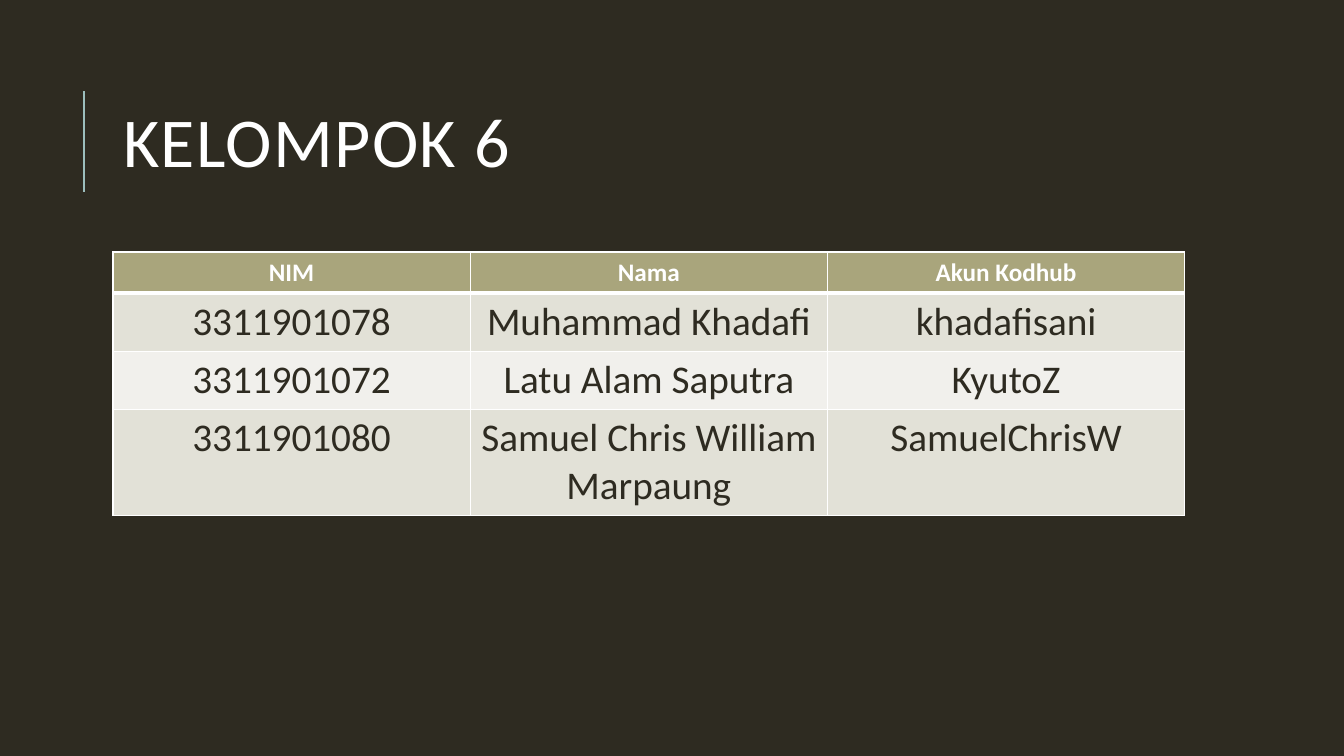
import pptx
import pptx.dml.color
import pptx.enum.shapes
import pptx.enum.text
import pptx.oxml
import pptx.oxml.ns
import pptx.util

Inches = pptx.util.Inches
Pt = pptx.util.Pt

COLORS = {
    "background": "2E2B21",
    "accent": "9CBEBD",
    "white": "FFFFFF",
    "header": "A9A57C",
    "odd_row": "E2E1D7",
    "even_row": "F1F0EC",
}
FONT = "Calibri"
MEMBERS = [
    ("NIM", "Nama", "Akun Kodhub"),
    ("3311901078", "Muhammad Khadafi", "khadafisani"),
    ("3311901072", "Latu Alam Saputra", "KyutoZ"),
    ("3311901080", "Samuel Chris William Marpaung", "SamuelChrisW"),
]


def rgb(name):
    """Return the named colour."""
    return pptx.dml.color.RGBColor.from_string(COLORS[name])


def write_text(frame, text, size, color, align="CENTER", bold=False,
               line_spacing=None, tracking=None):
    """Write one formatted paragraph into a text frame."""
    paragraph = frame.paragraphs[0]
    paragraph.alignment = getattr(pptx.enum.text.PP_ALIGN, align)
    if line_spacing:
        paragraph.line_spacing = line_spacing
    run = paragraph.add_run()
    run.text = text
    run.font.name = FONT
    run.font.size = Pt(size)
    run.font.bold = bold
    run.font.color.rgb = rgb(color)
    if tracking:
        run.font._element.set("spc", str(tracking * 100))


def set_borders(cell, top, bottom):
    """Give a cell white borders; top and bottom are widths in points."""
    properties = cell._tc.get_or_add_tcPr()
    for side, width in (("L", 1), ("R", 1), ("T", top), ("B", bottom)):
        properties.append(pptx.oxml.parse_xml(
            f'<a:ln{side} {pptx.oxml.ns.nsdecls("a")} w="{Pt(width)}">'
            f'<a:solidFill><a:srgbClr val="{COLORS["white"]}"/></a:solidFill>'
            f'</a:ln{side}>'))


def add_heading(slide, left, top, width, height):
    """Place the title and the thin accent rule to its left."""
    title = slide.shapes.title
    title.left, title.top = Inches(left), Inches(top)
    title.width, title.height = Inches(width), Inches(height)
    frame = title.text_frame
    frame.word_wrap = True
    frame.auto_size = pptx.enum.text.MSO_AUTO_SIZE.NONE
    frame.vertical_anchor = pptx.enum.text.MSO_ANCHOR.MIDDLE
    write_text(frame, "KELOMPOK 6", size=50, color="white", align="LEFT",
               line_spacing=0.8, tracking=1)

    rule_x = Inches(left - 0.29)
    rule = slide.shapes.add_connector(
        pptx.enum.shapes.MSO_CONNECTOR.STRAIGHT,
        rule_x, Inches(top + 1.26), rule_x, Inches(top + 0.26))
    rule.line.color.rgb = rgb("accent")
    rule.line.width = Pt(1.5)
    rule._element.spPr.append(pptx.oxml.parse_xml(
        f'<a:effectLst {pptx.oxml.ns.nsdecls("a")}/>'))


def add_members(slide, left, top, width, row_height):
    """Place the member table; rows grow to fit their text."""
    members = slide.shapes.add_table(
        len(MEMBERS), len(MEMBERS[0]), Inches(left), Inches(top),
        Inches(width), Inches(row_height * len(MEMBERS))).table
    for row, values in enumerate(MEMBERS):
        is_header = row == 0
        fill = "header" if is_header else ("even_row", "odd_row")[row % 2]
        for column, value in enumerate(values):
            cell = members.cell(row, column)
            set_borders(cell, top=3 if row == 1 else 1,
                        bottom=3 if is_header else 1)
            cell.fill.solid()
            cell.fill.fore_color.rgb = rgb(fill)
            write_text(cell.text_frame, value, size=18 if is_header else 28,
                       color="white" if is_header else "background",
                       bold=is_header)


def build():
    """Build and save the group slide."""
    deck = pptx.Presentation()
    deck.slide_width, deck.slide_height = Inches(13.33), Inches(7.5)
    slide = deck.slides.add_slide(deck.slide_layouts.get_by_name("Title Only"))
    slide.background.fill.solid()
    slide.background.fill.fore_color.rgb = rgb("background")
    add_heading(slide, 1.12, 0.64, 10.63, 1.64)
    add_members(slide, 1.12, 2.5, 10.63, 0.41)
    deck.save("out.pptx")


build()
